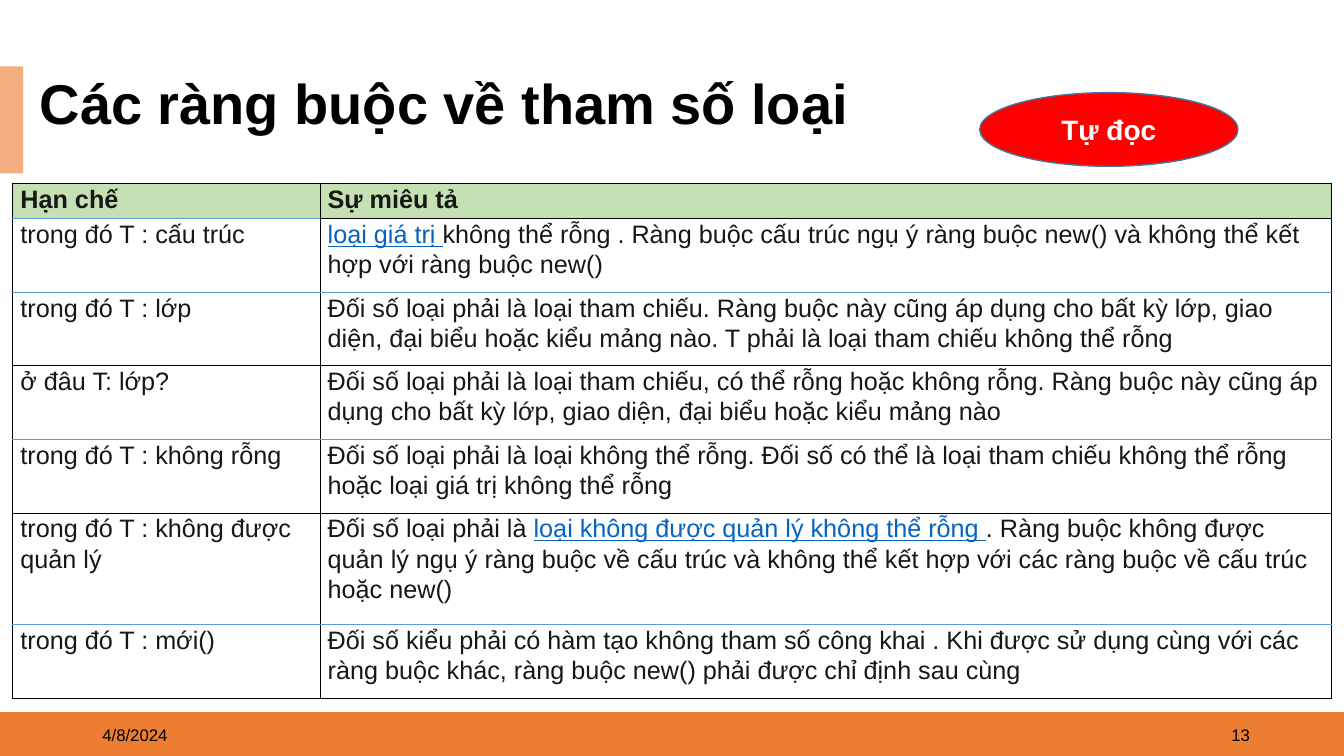
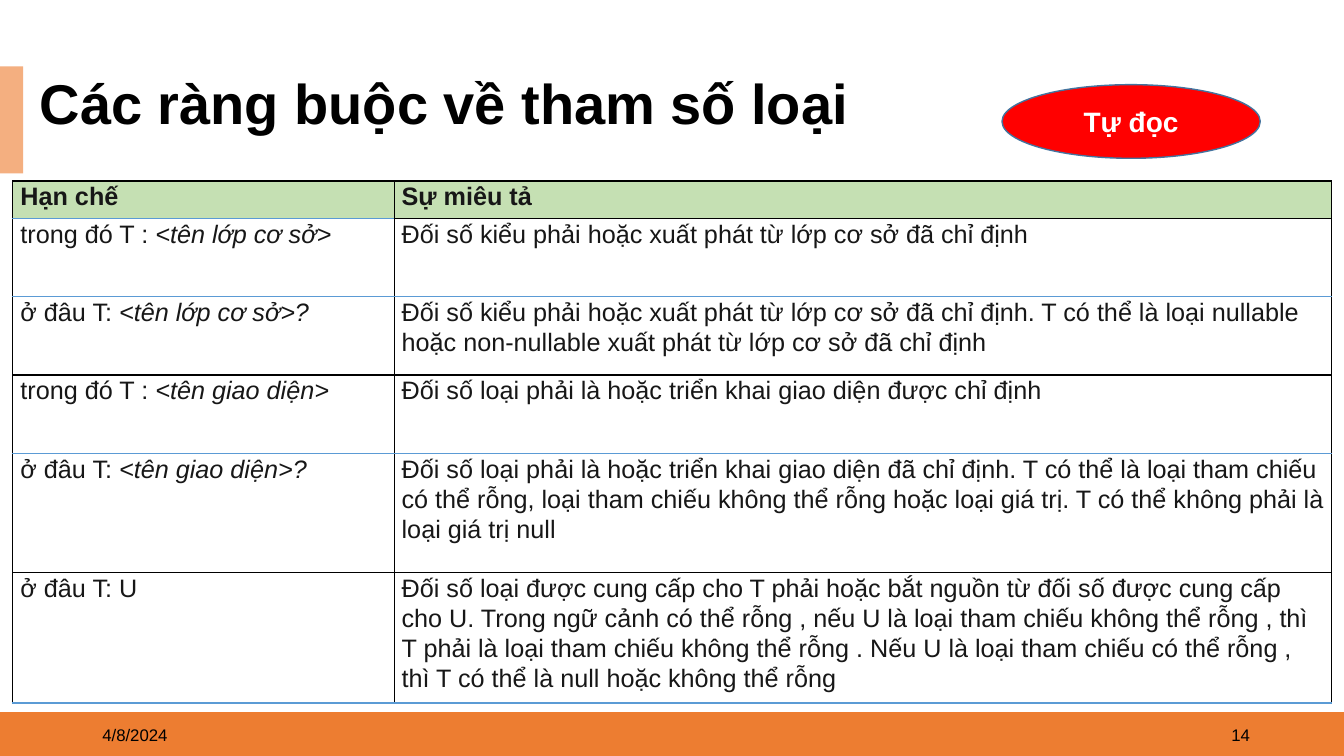
"""Builds two slides that tabulate the constraints on type parameters."""
from lxml import etree
from pptx import Presentation
from pptx.dml.color import RGBColor
from pptx.enum.shapes import MSO_SHAPE
from pptx.enum.text import MSO_ANCHOR, PP_ALIGN
from pptx.oxml.ns import qn
from pptx.util import Pt

RECTANGLE, OVAL = MSO_SHAPE.RECTANGLE, MSO_SHAPE.OVAL
MIDDLE = MSO_ANCHOR.MIDDLE
LEFT, CENTER, RIGHT = PP_ALIGN.LEFT, PP_ALIGN.CENTER, PP_ALIGN.RIGHT

FONT = "Arial"
COLORS = {
    "band": "ED7D31", "accent": "F4AF80", "white": "FFFFFF", "black": "000000",
    "text": "171717", "link": "0563C1", "header": "C5E0B3", "rule": "5B9BD5",
    "badge": "FF0000", "badge_line": "43739E",
}
TITLE = "Các ràng buộc về tham số loại"
HEADER = ("Hạn chế", "Sự miêu tả")
TABLE_LEFT, TABLE_WIDTH = 9.2, 942

# Text between bars is emphasised: italic in the first column, a link in the second.
SLIDES = [
    {
        "number": "13", "badge": (699.8, 66.2), "top": 131, "first_column": 219.5,
        "heights": [25.2, 52.6, 52.6, 52.6, 52.6, 79.6, 52.6],
        "rows": [
            ("trong đó T : cấu trúc",
             "|loại giá trị |không thể rỗng . Ràng buộc cấu trúc ngụ ý ràng buộc new() "
             "và không thể kết hợp với ràng buộc new()"),
            ("trong đó T : lớp",
             "Đối số loại phải là loại tham chiếu. Ràng buộc này cũng áp dụng cho bất kỳ lớp, "
             "giao diện, đại biểu hoặc kiểu mảng nào. T phải là loại tham chiếu không thể rỗng"),
            ("ở đâu T: lớp?",
             "Đối số loại phải là loại tham chiếu, có thể rỗng hoặc không rỗng. Ràng buộc này "
             "cũng áp dụng cho bất kỳ lớp, giao diện, đại biểu hoặc kiểu mảng nào"),
            ("trong đó T : không rỗng",
             "Đối số loại phải là loại không thể rỗng. Đối số có thể là loại tham chiếu "
             "không thể rỗng hoặc loại giá trị không thể rỗng"),
            ("trong đó T : không được quản lý",
             "Đối số loại phải là |loại không được quản lý không thể rỗng |. Ràng buộc không "
             "được quản lý ngụ ý ràng buộc về cấu trúc và không thể kết hợp với các ràng buộc "
             "về cấu trúc hoặc new()"),
            ("trong đó T : mới()",
             "Đối số kiểu phải có hàm tạo không tham số công khai . Khi được sử dụng cùng với "
             "các ràng buộc khác, ràng buộc new() phải được chỉ định sau cùng"),
        ],
    },
    {
        "number": "14", "badge": (715.7, 60.5), "top": 129.3, "first_column": 272.3,
        "heights": [26.6, 56, 56, 56, 85, 93.4],
        "rows": [
            ("trong đó T : |<tên lớp cơ sở>|",
             "Đối số kiểu phải hoặc xuất phát từ lớp cơ sở đã chỉ định"),
            ("ở đâu T: |<tên lớp cơ sở>?|",
             "Đối số kiểu phải hoặc xuất phát từ lớp cơ sở đã chỉ định. T có thể là loại "
             "nullable hoặc non-nullable xuất phát từ lớp cơ sở đã chỉ định"),
            ("trong đó T : |<tên giao diện>|",
             "Đối số loại phải là hoặc triển khai giao diện được chỉ định"),
            ("ở đâu T: |<tên giao diện>?|",
             "Đối số loại phải là hoặc triển khai giao diện đã chỉ định. T có thể là loại "
             "tham chiếu có thể rỗng, loại tham chiếu không thể rỗng hoặc loại giá trị. "
             "T có thể không phải là loại giá trị null"),
            ("ở đâu T: U",
             "Đối số loại được cung cấp cho T phải hoặc bắt nguồn từ đối số được cung cấp "
             "cho U. Trong ngữ cảnh có thể rỗng , nếu U là loại tham chiếu không thể rỗng , "
             "thì T phải là loại tham chiếu không thể rỗng . Nếu U là loại tham chiếu có thể "
             "rỗng , thì T có thể là null hoặc không thể rỗng"),
        ],
    },
]


def add_box(page, kind, place, fill=None, line=None, text="", size=12,
            color="black", bold=False, align=LEFT, spacing=None):
    """Add a preset shape with one optional paragraph."""
    box = page.shapes.add_shape(kind, *[Pt(length) for length in place])
    box.shadow.inherit = False
    if fill:
        box.fill.solid()
        box.fill.fore_color.rgb = RGBColor.from_string(COLORS[fill])
    else:
        box.fill.background()
    if line:
        box.line.color.rgb = RGBColor.from_string(COLORS[line])
        box.line.width = Pt(1)
    else:
        box.line.fill.background()
    if text:
        box.text_frame.word_wrap = True
        box.text_frame.vertical_anchor = MIDDLE
        para = box.text_frame.paragraphs[0]
        para.alignment, para.line_spacing = align, spacing
        para.add_run().text = text
        style_font(para.font, size, color, bold)


def style_font(font, size, color, bold):
    """Set the shared typeface with a size, colour and weight."""
    font.name, font.size, font.bold = FONT, Pt(size), bold
    font.color.rgb = RGBColor.from_string(COLORS[color])


deck = Presentation()
deck.slide_width, deck.slide_height = Pt(960), Pt(540)

for content in SLIDES:
    page = deck.slides.add_slide(deck.slide_layouts[6])
    add_box(page, RECTANGLE, (0, 508.7, 960, 31.3), "band")
    add_box(page, RECTANGLE, (0, 47.4, 16.5, 76.4), "accent")
    add_box(page, RECTANGLE, (66, 510.5, 216, 28.8), text="4/8/2024")
    add_box(page, RECTANGLE, (684, 510.5, 216, 28.8), text=content["number"], align=RIGHT)

    rows = [HEADER] + content["rows"]
    heights = content["heights"]
    frame = page.shapes.add_table(len(rows), 2, Pt(TABLE_LEFT), Pt(content["top"]),
                                  Pt(TABLE_WIDTH), Pt(sum(heights)))
    table = frame.table
    table.horz_banding = False
    table.columns[0].width = Pt(content["first_column"])
    table.columns[1].width = Pt(TABLE_WIDTH - content["first_column"])

    for row, texts in enumerate(rows):
        table.rows[row].height = Pt(heights[row])
        for column, text in enumerate(texts):
            cell = table.cell(row, column)
            cell.margin_left = cell.margin_right = Pt(5.4)
            cell.margin_top = cell.margin_bottom = 0

            blue_above = row % 2 == 0 and row > 0 or (row, column) == (1, 0)
            blue_below = row % 2 == 1 or (row, column) == (0, 0)
            edges = {"a:lnL": "black", "a:lnR": "black",
                     "a:lnT": "rule" if blue_above else "black",
                     "a:lnB": "rule" if blue_below else "black"}
            for edge, color in edges.items():
                border = etree.SubElement(cell._tc.get_or_add_tcPr(), qn(edge), w=str(Pt(1)))
                solid = etree.SubElement(border, qn("a:solidFill"))
                etree.SubElement(solid, qn("a:srgbClr"), val=COLORS[color])
            cell.fill.solid()
            fill = "white" if row else "header"
            cell.fill.fore_color.rgb = RGBColor.from_string(COLORS[fill])

            para = cell.text_frame.paragraphs[0]
            para.line_spacing = 1.07
            style_font(para.font, 18, "text", row == 0)
            for index, part in enumerate(text.split("|")):
                if not part:
                    continue
                span = para.add_run()
                span.text = part
                if index % 2 and column == 0:
                    span.font.italic = True
                elif index % 2:
                    span.font.underline = True
                    span.font.color.rgb = RGBColor.from_string(COLORS["link"])

    add_box(page, OVAL, (*content["badge"], 184.5, 52.6), "badge", "badge_line",
            "Tự đọc", 20, "white", True, CENTER)
    add_box(page, RECTANGLE, (21.3, 57.6, 662.4, 39.6), "white",
            text=TITLE, size=40, bold=True, spacing=0.8)

deck.save("out.pptx")
